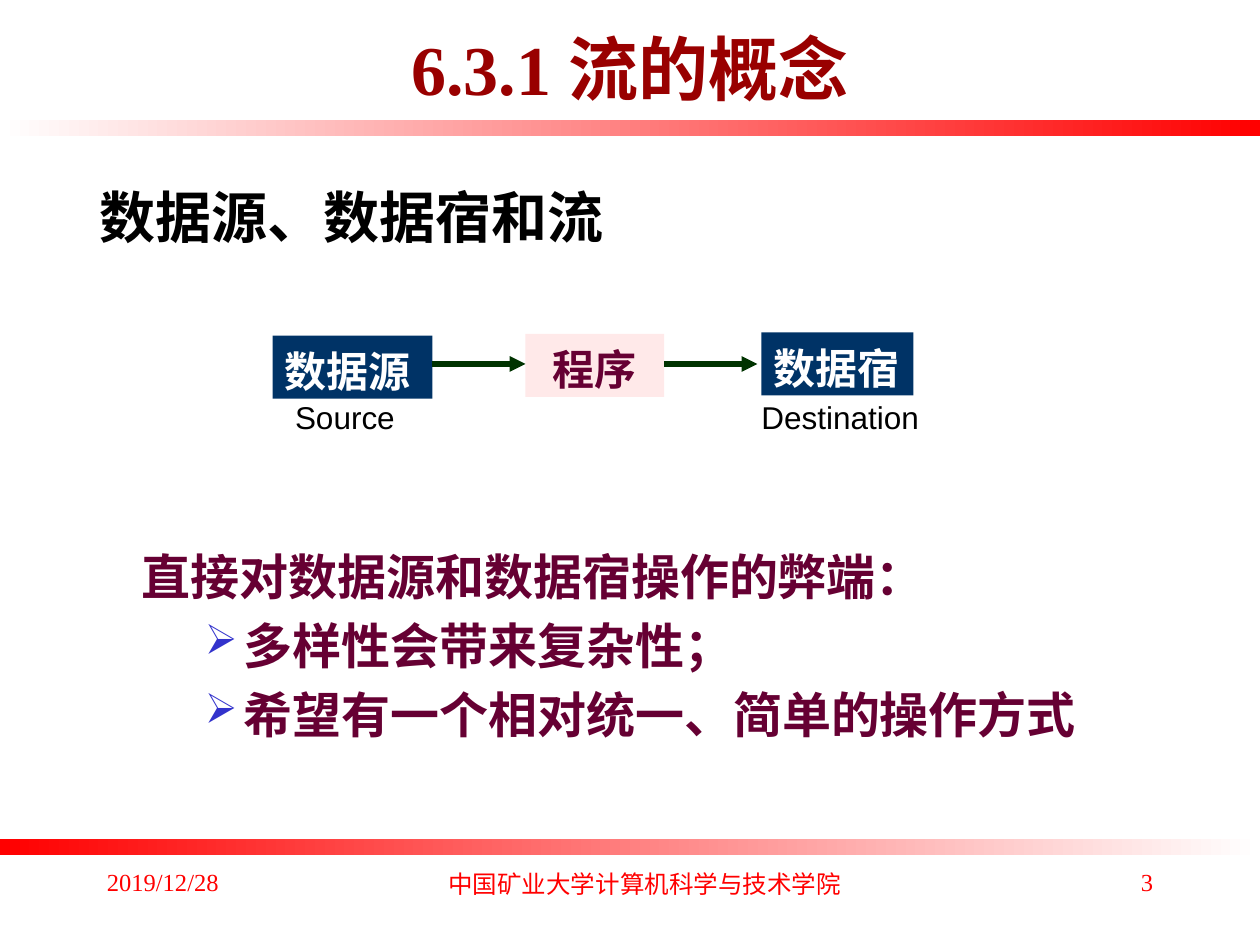
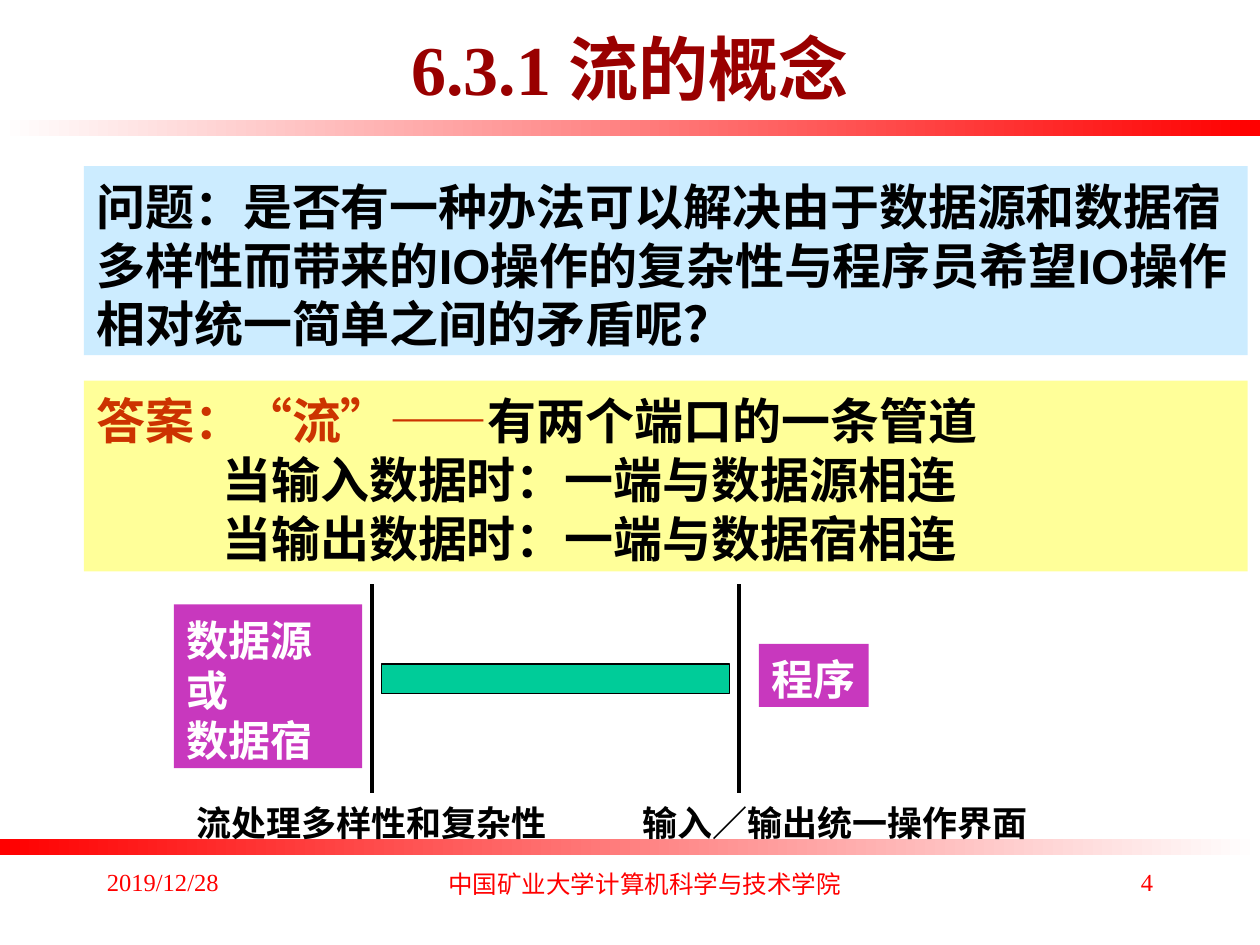
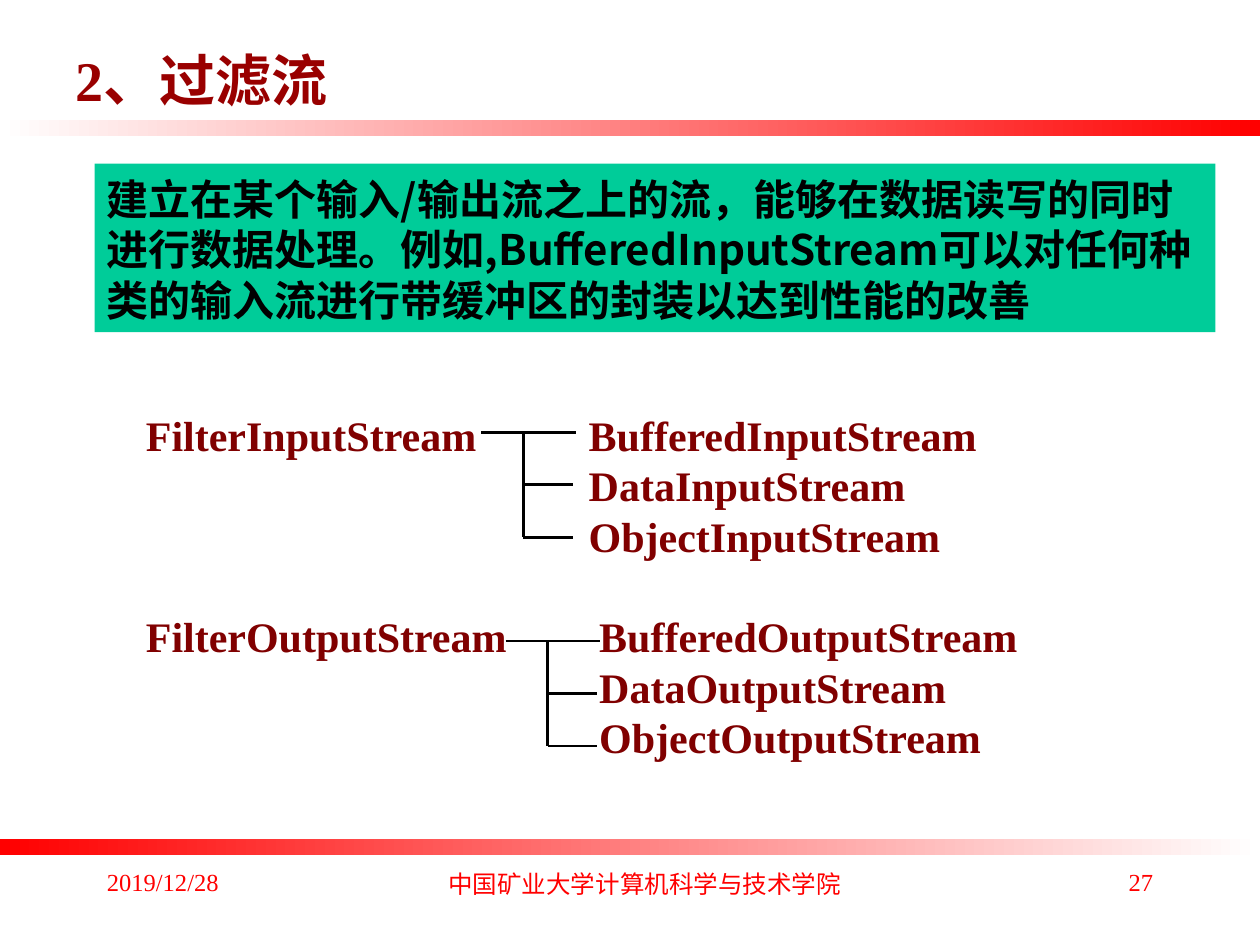
from dataclasses import dataclass

from lxml import etree
from pptx import Presentation
from pptx.dml.color import RGBColor
from pptx.enum.shapes import MSO_CONNECTOR, MSO_SHAPE
from pptx.enum.text import MSO_ANCHOR, PP_ALIGN
from pptx.oxml.ns import qn
from pptx.util import Pt

RECTANGLE = MSO_SHAPE.RECTANGLE
STRAIGHT = MSO_CONNECTOR.STRAIGHT
TOP, MIDDLE = MSO_ANCHOR.TOP, MSO_ANCHOR.MIDDLE
LEFT, CENTER, RIGHT = PP_ALIGN.LEFT, PP_ALIGN.CENTER, PP_ALIGN.RIGHT


@dataclass(frozen=True)
class Theme:
    sans: str = "Arial"
    serif: str = "Times New Roman"
    cjk: str = "Noto Sans CJK SC"
    black: str = "000000"
    white: str = "FFFFFF"
    red: str = "FF0000"
    title: str = "990000"
    plum: str = "660033"
    pink: str = "FFE9E9"
    navy: str = "003366"
    arrow: str = "003300"
    bullet: str = "3333CC"
    question: str = "CCECFF"
    answer: str = "FFFF99"
    answer_word: str = "CC3300"
    green: str = "00CC99"
    purple: str = "C838BE"
    class_name: str = "800000"
    title_size: int = 40
    heading_size: int = 32
    body_size: int = 28
    box_size: int = 24
    caption_size: int = 20
    label_size: int = 18
    footer_size: int = 14
    line_height: float = 1.2
    cjk_drop: float = 0.08


THEME = Theme()


def add_xml(parent, tag, **attributes):
    return etree.SubElement(parent, qn(tag), attributes)


class Deck:
    def __init__(self, theme):
        self.theme = theme
        self.presentation = Presentation()
        self.presentation.slide_width = Pt(720)
        self.presentation.slide_height = Pt(540)
        self.slide = None

    def new_slide(self, number):
        """Start a slide with the shared bands and footer."""
        t = self.theme
        self.slide = self.presentation.slides.add_slide(self.presentation.slide_layouts[6])
        self.band(68.5, t.white, t.red)
        self.band(479.5, t.red, t.white)
        footer = [(54, 150, "2019/12/28", LEFT, t.serif),
                  (246, 245, "中国矿业大学计算机科学与技术学院", CENTER, t.cjk),
                  (516, 150, str(number), RIGHT, t.serif)]
        for x, width, text, align, font in footer:
            self.text((x, 492, width, 36), [text], t.footer_size, t.red, font,
                      bold=False, align=align)

    def band(self, y, start, end):
        band = self.box((0, y, 720, 9.3))
        band.fill.gradient()
        band.fill.gradient_angle = 0
        for stop, color in zip(band.fill.gradient_stops, (start, end)):
            stop.color.rgb = RGBColor.from_string(color)

    def box(self, area, fill=None, border=None):
        box = self.slide.shapes.add_shape(RECTANGLE, *map(Pt, area))
        box.shadow.inherit = False
        if fill:
            box.fill.solid()
            box.fill.fore_color.rgb = RGBColor.from_string(fill)
        if border:
            box.line.color.rgb = RGBColor.from_string(border)
            box.line.width = Pt(0.75)
        else:
            box.line.fill.background()
        return box

    def text(self, area, lines, size, color, font=None, bold=True, align=LEFT,
             anchor=TOP, fill=None):
        """Write one paragraph per line, on a filled box if fill is given."""
        t = self.theme
        if fill:
            holder = self.box(area, fill)
        else:
            holder = self.slide.shapes.add_textbox(*map(Pt, area))
        frame = holder.text_frame
        frame.text = "\n".join(lines)
        frame.word_wrap = True
        frame.vertical_anchor = anchor
        has_cjk = any(ord(letter) > 0x2E80 for letter in frame.text)
        frame.margin_top = Pt(3.6 + (t.cjk_drop * size if has_cjk else 0))
        frame.margin_bottom = 0
        for paragraph in frame.paragraphs:
            paragraph.alignment = align
            paragraph.line_spacing = Pt(t.line_height * size)
            for run in paragraph.runs:
                self.style(run, size, color, font or t.sans, bold)
        return frame.paragraphs

    def style(self, run, size, color, font, bold=True):
        run.font.size = Pt(size)
        run.font.bold = bold
        run.font.name = font
        run.font.color.rgb = RGBColor.from_string(color)
        add_xml(run.font._element, "a:ea", typeface=self.theme.cjk)

    def title(self, text):
        t = self.theme
        self.text((54, -10, 612, 90), [text], t.title_size, t.title, t.serif,
                  align=CENTER, anchor=MIDDLE)

    def indent(self, paragraph, left, first=0):
        properties = paragraph._p.get_or_add_pPr()
        properties.set("marL", str(Pt(left)))
        properties.set("indent", str(Pt(first)))
        return properties

    def bullet(self, paragraph):
        properties = self.indent(paragraph, 58.3, -22.3)
        color = add_xml(properties, "a:buClr")
        add_xml(color, "a:srgbClr", val=self.theme.bullet)
        add_xml(properties, "a:buSzPct", val="85000")
        add_xml(properties, "a:buChar", char="➢")

    def tab_stop(self, paragraph, position):
        tabs = add_xml(paragraph._p.get_or_add_pPr(), "a:tabLst")
        add_xml(tabs, "a:tab", pos=str(Pt(position)), algn="l")

    def line(self, start, end, width, color, arrow=False):
        line = self.slide.shapes.add_connector(STRAIGHT, *map(Pt, (*start, *end)))
        line.line.width = Pt(width)
        line.line.color.rgb = RGBColor.from_string(color)
        if arrow:
            add_xml(line.line._get_or_add_ln(), "a:tailEnd", type="triangle")
        add_xml(line._element.spPr, "a:effectLst")

    def branches(self, x, y, stem, tick_end):
        """Draw a bracket from a parent class to its three subclasses."""
        pitch, color = 30, self.theme.black
        self.line((x, y), (x + 54, y), 1.5, color)
        self.line((stem, y), (stem, y + 2 * pitch), 1.5, color)
        for row in (1, 2):
            self.line((stem, y + row * pitch), (tick_end, y + row * pitch), 1.5, color)


def source_and_destination(deck):
    t = deck.theme
    deck.new_slide(3)
    deck.title("6.3.1 流的概念")
    deck.text((49.7, 98, 487, 45), ["数据源、数据宿和流"], t.heading_size, t.black)

    nodes = [((155.8, 191.8, 91.4, 36), "数据源", t.white, t.navy, LEFT),
             ((300.3, 190.8, 79.2, 36), "程序", t.plum, t.pink, CENTER),
             ((435, 190, 87, 36), "数据宿", t.white, t.navy, LEFT)]
    for area, name, color, fill, align in nodes:
        deck.text(area, [name], t.box_size, color, t.serif, align=align, fill=fill)
    for x in (247, 379.5):
        deck.line((x, 208), (x + 53.3, 208), 3, t.arrow, arrow=True)
    for x, name in ((161.5, "Source"), (428, "Destination")):
        deck.text((x, 224, 112, 29), [name], t.label_size, t.black, bold=False)

    drawbacks = deck.text(
        (74, 306.7, 584, 158),
        ["直接对数据源和数据宿操作的弊端：", "多样性会带来复杂性；",
         "希望有一个相对统一、简单的操作方式"], t.body_size, t.plum)
    deck.indent(drawbacks[0], 27, -27)
    for drawback in drawbacks[1:]:
        drawback.space_before = Pt(5.6)
        deck.bullet(drawback)


def stream_as_pipe(deck):
    t = deck.theme
    deck.new_slide(4)
    deck.title("6.3.1 流的概念")
    deck.text((48, 95, 665, 108),
              ["问题：是否有一种办法可以解决由于数据源和数据宿多样性而带来的IO操作的"
               "复杂性与程序员希望IO操作相对统一简单之间的矛盾呢？"],
              t.body_size, t.black, fill=t.question)
    answer = deck.text((48, 217.5, 665, 109),
                       ["答案：“流”——", "当输入数据时：一端与数据源相连",
                        "当输出数据时：一端与数据宿相连"],
                       t.body_size, t.black, fill=t.answer)
    answer[0].runs[0].font.color.rgb = RGBColor.from_string(t.answer_word)
    definition = answer[0].add_run()
    definition.text = "有两个端口的一条管道"
    deck.style(definition, t.body_size, t.black, t.sans)
    for case in answer[1:]:
        deck.indent(case, 72)

    deck.box((218, 379.5, 198.7, 17), t.green, t.black)
    deck.text((433.6, 368, 62.8, 36), ["程序"], t.box_size, t.white, fill=t.purple)
    deck.text((99.3, 345.4, 107.7, 93.6), ["数据源或", "数据宿"], t.box_size, t.white,
              fill=t.purple)
    for x in (212.5, 422.5):
        deck.line((x, 334), (x, 453), 2.25, t.black)
    for x, caption in ((105, "流处理多样性和复杂性"), (360, "输入／输出统一操作界面")):
        deck.text((x, 453, 240, 31), [caption], t.caption_size, t.black)


def filter_streams(deck):
    t = deck.theme
    deck.new_slide(27)
    deck.text((36, -3, 672, 90), ["2、过滤流"], t.heading_size, t.title, t.serif,
              anchor=MIDDLE)
    deck.text((54, 93.5, 640.5, 96.3),
              ["建立在某个输入/输出流之上的流，能够在数据读写的同时进行数据处理。"
               "例如,BufferedInputStream可以对任何种类的输入流进行带缓冲区的封装以达到性能的改善"],
              t.box_size, t.black, t.cjk, fill=t.green)

    families = [("Input", 253), ("Output", 259)]
    rows = [(f"{parent}\t{kind}{direction}Stream", tab)
            for direction, tab in families
            for parent, kind in ((f"Filter{direction}Stream", "Buffered"),
                                 ("", "Data"), ("", "Object"))]
    classes = deck.text((76.3, 230.4, 591, 237.6), [text for text, _ in rows],
                        t.box_size, t.class_name, t.serif)
    classes[3].space_before = Pt(t.line_height * t.box_size)
    for row, (_, tab) in zip(classes, rows):
        deck.tab_stop(row, tab)
    deck.branches(275, 247, stem=299, tick_end=327.5)
    deck.branches(289, 366.3, stem=313, tick_end=341.3)


def main():
    deck = Deck(THEME)
    source_and_destination(deck)
    stream_as_pipe(deck)
    filter_streams(deck)
    deck.presentation.save("out.pptx")


if __name__ == "__main__":
    main()
